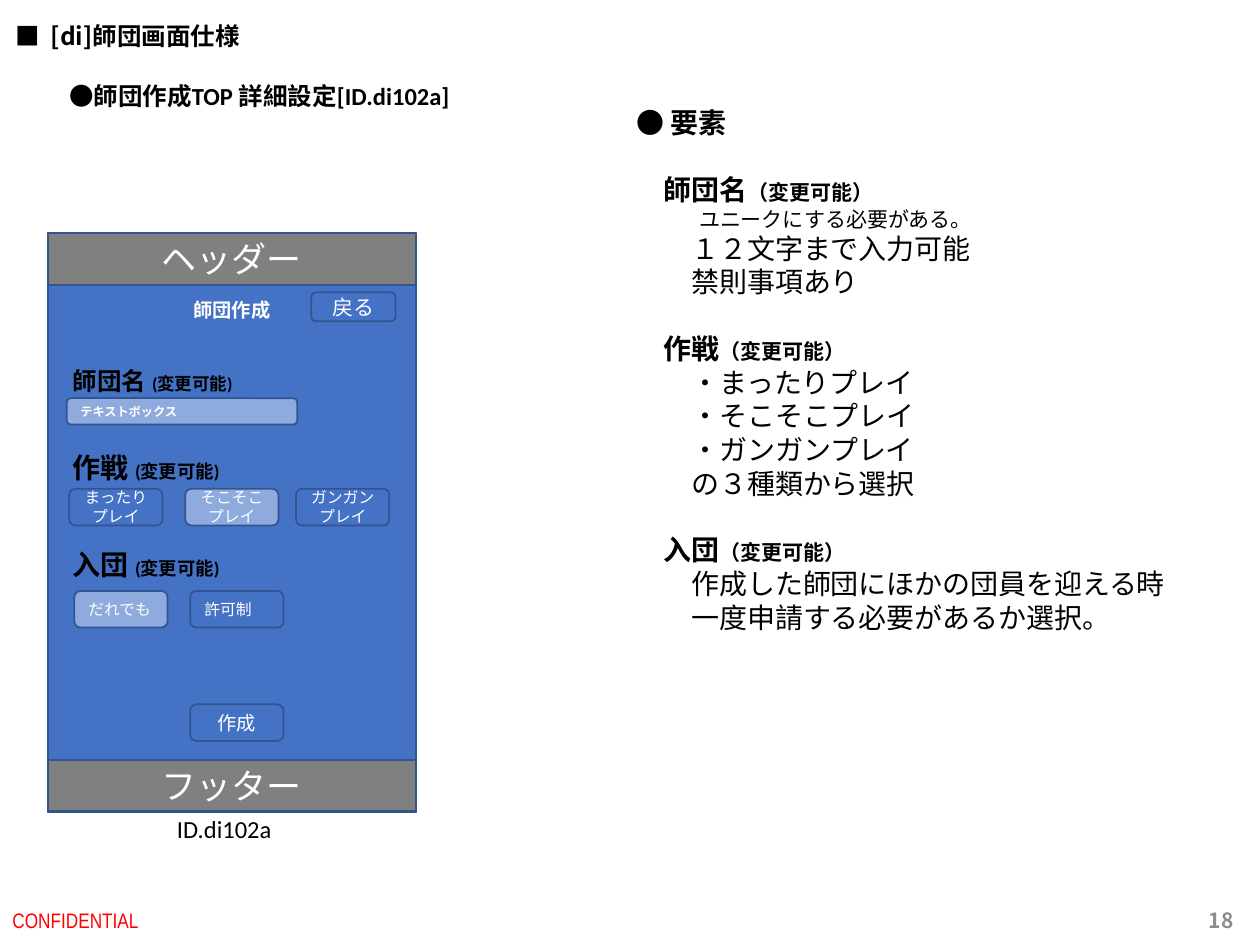
from dataclasses import dataclass

from lxml.etree import SubElement
from pptx import Presentation
from pptx.dml.color import RGBColor
from pptx.enum.shapes import MSO_SHAPE
from pptx.enum.text import MSO_ANCHOR, MSO_AUTO_SIZE, PP_ALIGN
from pptx.oxml.ns import qn
from pptx.util import Inches, Pt

BLACK, WHITE, GRAY, RED = "000000", "FFFFFF", "808080", "FF0000"
BLUE, SELECTED, OUTLINE = "4472C4", "8FAADC", "325491"
CJK_FONT = "Noto Sans CJK JP"
LEFT, CENTER, RIGHT = PP_ALIGN.LEFT, PP_ALIGN.CENTER, PP_ALIGN.RIGHT
TOP, MIDDLE = MSO_ANCHOR.TOP, MSO_ANCHOR.MIDDLE
CHANGEABLE = "(変更可能)"


@dataclass(frozen=True)
class Place:
    left: float
    top: float
    width: float
    height: float


@dataclass(frozen=True)
class Style:
    size: float
    color: str = BLACK
    bold: bool = False
    font: str = "Calibri"


@dataclass(frozen=True)
class Button:
    text: str
    place: Place
    size: float = 9
    selected: bool = False
    align: PP_ALIGN = CENTER
    bold: bool = False


@dataclass(frozen=True)
class Field:
    name: str
    place: Place
    name_size: float
    note_size: float


@dataclass(frozen=True)
class SpecLine:
    text: str
    indent: float = 0.44
    size: float = 16
    bold: bool = False
    note: str = ""
    gap_before: float = 0


def rgb(value: str) -> RGBColor:
    return RGBColor.from_string(value)


def add_run(paragraph, text: str, style: Style) -> None:
    run = paragraph.add_run()
    run.text = text
    font = run.font
    font.size, font.bold = Pt(style.size), style.bold
    font.color.rgb = rgb(style.color)
    font.name = style.font
    SubElement(font._element, qn("a:ea")).set("typeface", CJK_FONT)


def lengths(place: Place) -> tuple:
    return tuple(Inches(v) for v in (place.left, place.top, place.width, place.height))


def prepare_frame(shape, anchor: MSO_ANCHOR = TOP):
    frame = shape.text_frame
    frame.word_wrap = True
    frame.auto_size = MSO_AUTO_SIZE.NONE
    frame.vertical_anchor = anchor
    return frame


def add_label(shapes, place: Place, *runs: tuple[str, Style],
              align: PP_ALIGN = LEFT, anchor: MSO_ANCHOR = TOP) -> None:
    frame = prepare_frame(shapes.add_textbox(*lengths(place)), anchor)
    paragraph = frame.paragraphs[0]
    paragraph.alignment = align
    for text, style in runs:
        add_run(paragraph, text, style)


def add_panel(shapes, kind: MSO_SHAPE, place: Place, fill: str, text: str = "",
              style: Style = Style(9, WHITE), align: PP_ALIGN = CENTER) -> None:
    """Draw an outlined shape with one paragraph per line of text."""
    panel = shapes.add_shape(kind, *lengths(place))
    panel.shadow.inherit = False
    panel.fill.solid()
    panel.fill.fore_color.rgb = rgb(fill)
    panel.line.color.rgb = rgb(OUTLINE)
    panel.line.width = Pt(1)
    frame = prepare_frame(panel, MIDDLE)
    for index, line in enumerate(text.splitlines()):
        paragraph = frame.add_paragraph() if index else frame.paragraphs[0]
        paragraph.alignment = align
        add_run(paragraph, line, style)


def add_button(shapes, button: Button) -> None:
    add_panel(shapes, MSO_SHAPE.ROUNDED_RECTANGLE, button.place,
              SELECTED if button.selected else BLUE, button.text,
              Style(button.size, WHITE, button.bold), button.align)


def add_spec(shapes, place: Place, lines: list[SpecLine]) -> None:
    frame = prepare_frame(shapes.add_textbox(*lengths(place)))
    for index, line in enumerate(lines):
        paragraph = frame.add_paragraph() if index else frame.paragraphs[0]
        properties = paragraph._p.get_or_add_pPr()
        properties.set("marL", str(Inches(line.indent)))
        properties.set("indent", "0")
        paragraph.space_before = Pt(line.gap_before)
        add_run(paragraph, line.text, Style(line.size, BLACK, line.bold, "TeX Gyre Adventor"))
        if line.note:
            add_run(paragraph, line.note, Style(12, BLACK, True, "TeX Gyre Adventor"))


def spec_heading(text: str) -> SpecLine:
    return SpecLine(text, 0.22, bold=True, note="（変更可能）", gap_before=19)


def small_button(text: str, left: float, top: float, **options) -> Button:
    return Button(text, Place(left, top, 0.74, 0.29), **options)


SCREEN = Place(0.38, 1.85, 2.92, 4.6)
BARS = {"ヘッダー": 1.85, "フッター": 6.03}
BACK = Button("戻る", Place(2.47, 2.32, 0.67, 0.23), 12)
FIELDS = [
    Field("師団名 ", Place(0.48, 2.86, 2.05, 0.34), 14, 10),
    Field("作戦 ", Place(0.48, 3.53, 2.84, 0.37), 16, 10.5),
    Field("入団 ", Place(0.48, 4.3, 2.84, 0.37), 16, 10.5),
]
BUTTONS = [
    Button("テキストボックス", Place(0.53, 3.16, 1.83, 0.21), 7, True, LEFT, True),
    small_button("まったり\nプレイ", 0.55, 3.88),
    small_button("そこそこ\nプレイ", 1.47, 3.88, selected=True),
    small_button("ガンガン\nプレイ", 2.35, 3.88),
    small_button("だれでも", 0.59, 4.69, selected=True, align=LEFT),
    small_button("許可制", 1.51, 4.69, align=LEFT),
    small_button("作成", 1.51, 5.59, size=11),
]
SPEC = [
    SpecLine("● 要素", 0, bold=True),
    spec_heading("師団名"),
    SpecLine("ユニークにする必要がある。", 0.5, 12),
    SpecLine("１２文字まで入力可能"),
    SpecLine("禁則事項あり"),
    spec_heading("作戦"),
    SpecLine("・まったりプレイ"),
    SpecLine("・そこそこプレイ"),
    SpecLine("・ガンガンプレイ"),
    SpecLine("の３種類から選択"),
    spec_heading("入団"),
    SpecLine("作成した師団にほかの団員を迎える時"),
    SpecLine("一度申請する必要があるか選択。"),
]


def main() -> None:
    deck = Presentation()
    deck.slide_width, deck.slide_height = Inches(10), Inches(7.5)
    slide = deck.slides.add_slide(deck.slide_layouts[5])
    shapes = slide.shapes

    title = shapes.title
    title.left, title.top, title.width, title.height = lengths(Place(0.02, 0.12, 2.02, 0.34))
    heading = prepare_frame(title, TOP).paragraphs[0]
    heading.alignment = LEFT
    add_run(heading, "■\u00a0 [di]師団画面仕様".replace("\u00a0", " "), Style(14, bold=True, font=CJK_FONT))
    add_label(shapes, Place(0.45, 0.59, 3.24, 0.34),
              ("●師団作成TOP 詳細設定[ID.di102a]", Style(14, bold=True)))

    phone = shapes.add_group_shape().shapes
    add_panel(phone, MSO_SHAPE.RECTANGLE, SCREEN, BLUE)
    for text, top in BARS.items():
        add_panel(phone, MSO_SHAPE.RECTANGLE, Place(SCREEN.left, top, SCREEN.width, 0.41),
                  GRAY, text, Style(20, WHITE))
    add_button(phone, BACK)
    add_label(phone, Place(SCREEN.left, 2.32, SCREEN.width, 0.29),
              ("師団作成", Style(11, WHITE, True)), align=CENTER)

    for field in FIELDS:
        add_label(shapes, field.place, (field.name, Style(field.name_size, bold=True)),
                  (CHANGEABLE, Style(field.note_size, bold=True)))
    for button in BUTTONS:
        add_button(shapes, button)
    add_label(shapes, Place(0.84, 6.41, 1.88, 0.34), ("ID.di102a", Style(14)), align=CENTER)

    add_spec(shapes, Place(4.95, 0.79, 4.47, 4.34), SPEC)
    add_label(shapes, Place(0, 7.1, 3.38, 0.4),
              ("CONFIDENTIAL", Style(12, RED, font="Arial Narrow")), anchor=MIDDLE)
    add_label(shapes, Place(7.64, 7.1, 2.25, 0.4),
              ("18", Style(12, "8C8C8C", True, CJK_FONT)), align=RIGHT, anchor=MIDDLE)
    deck.save("out.pptx")


if __name__ == "__main__":
    main()
